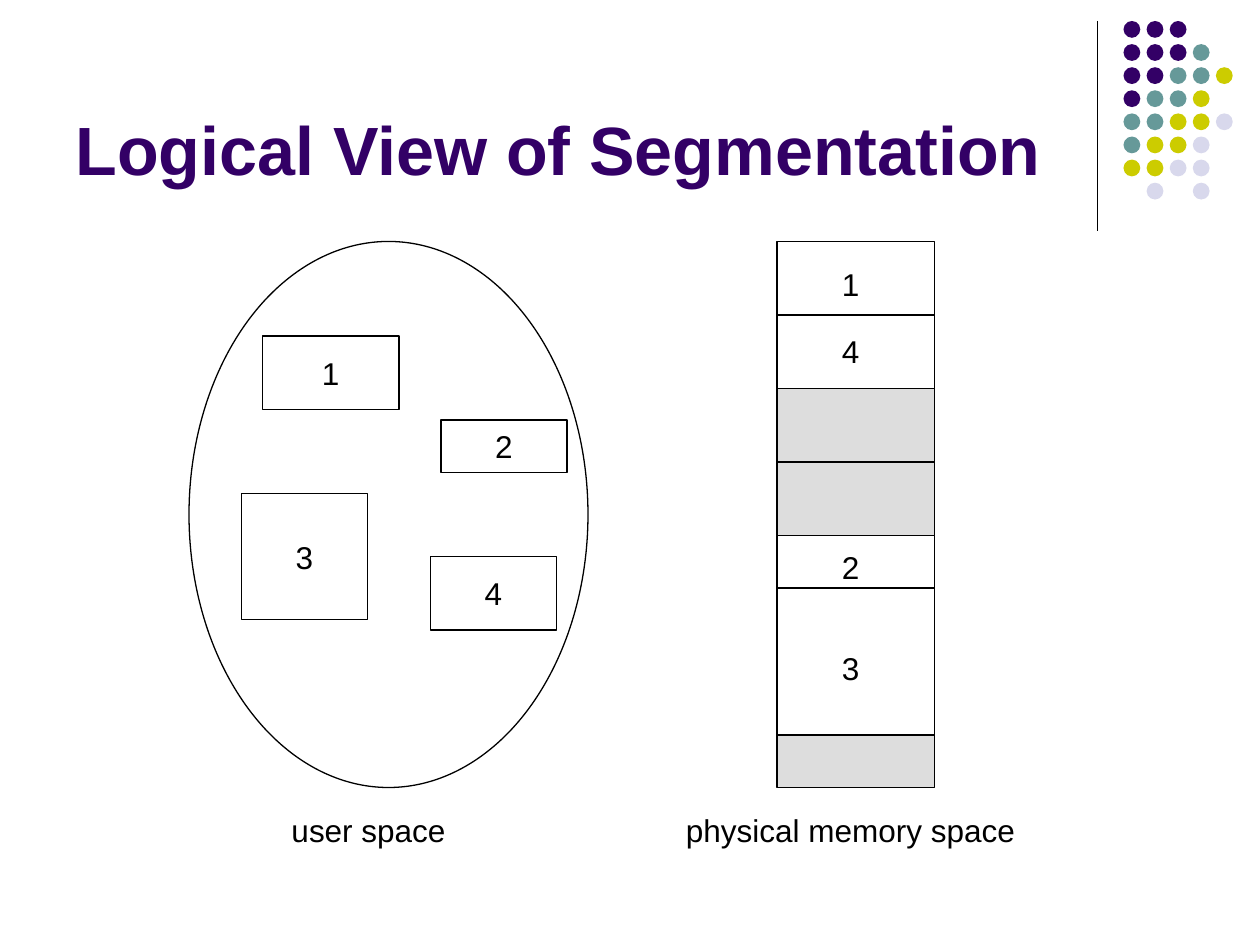
from dataclasses import dataclass

from pptx import Presentation
from pptx.dml.color import RGBColor
from pptx.enum.shapes import MSO_CONNECTOR, MSO_SHAPE
from pptx.enum.text import MSO_ANCHOR, MSO_AUTO_SIZE, PP_ALIGN
from pptx.oxml.ns import qn
from pptx.util import Inches, Pt

RECT, OVAL = MSO_SHAPE.RECTANGLE, MSO_SHAPE.OVAL
STRAIGHT = MSO_CONNECTOR.STRAIGHT
MIDDLE, BOTTOM = MSO_ANCHOR.MIDDLE, MSO_ANCHOR.BOTTOM
LEFT, CENTER = PP_ALIGN.LEFT, PP_ALIGN.CENTER
NO_FIT = MSO_AUTO_SIZE.NONE


@dataclass(frozen=True)
class Theme:
    font: str = "Arial"
    title_size: int = 39
    text_size: int = 18
    line_width: float = 0.75
    ink: str = "000000"
    title: str = "330066"
    paper: str = "FFFFFF"
    free: str = "DDDDDD"


THEME = Theme()
COLS, ROWS = 120, 90
CELL = Inches(10) // COLS

DOT_COLORS = {"P": "330066", "T": "669999", "Y": "CCCC00", "L": "D8D8EC"}
DOT_ROWS = ["PPP", "PPPT", "PPTTY", "PTTY", "TTYYL", "TYYL", "YYLL", " L L"]
DOT_LEFT, DOT_TOP, DOT_PITCH, DOT_SIZE = 107, 2, 2.2, 1.6

# name, column, row, columns wide, rows high
SEGMENTS = [
    ("1", 25, 32, 13, 7),
    ("3", 23, 47, 12, 12),
    ("2", 42, 40, 12, 5),
    ("4", 41, 53, 12, 7),
]
MEMORY_LEFT, MEMORY_WIDTH = 74, 15
# row, rows high, fill, row of the dividing line
MEMORY_BLOCKS = [
    (23, 14, THEME.paper, 30),
    (37, 14, THEME.free, 44),
    (51, 19, THEME.paper, 56),
    (70, 5, THEME.free, None),
]
# text and its middle row
MEMORY_LABELS = [("1", 27), ("4", 33.4), ("2", 54), ("3", 63.6)]
LABEL_CENTER = 81


def grid(*cells):
    return [round(c * CELL) for c in cells]


def style_text(tf, text, size, color, bold=False, align=CENTER, anchor=MIDDLE, wrap=False):
    for name, value in dict(word_wrap=wrap, auto_size=NO_FIT, vertical_anchor=anchor).items():
        setattr(tf, name, value)
    p = tf.paragraphs[0]
    p.alignment = align
    r = p.add_run()
    r.text = text
    for name, value in dict(name=THEME.font, size=Pt(size), bold=bold).items():
        setattr(r.font, name, value)
    r.font.color.rgb = RGBColor.from_string(color)


def add_block(shapes, kind, box, fill, text=None, outlined=True):
    s = shapes.add_shape(kind, *grid(*box))
    s.shadow.inherit = False
    s.fill.solid()
    s.fill.fore_color.rgb = RGBColor.from_string(fill)
    if outlined:
        s.line.color.rgb = RGBColor.from_string(THEME.ink)
        s.line.width = Pt(THEME.line_width)
    else:
        s.line.fill.background()
    if text:
        style_text(s.text_frame, text, THEME.text_size, THEME.ink)


def add_line(shapes, *ends):
    s = shapes.add_connector(STRAIGHT, *grid(*ends))
    s.line.color.rgb = RGBColor.from_string(THEME.ink)
    s.line.width = Pt(THEME.line_width)
    sp_pr = s._element.spPr
    sp_pr.append(sp_pr.makeelement(qn("a:effectLst"), {}))


def add_label(shapes, text, center, middle, width=4, height=4.8):
    """Add a text box placed by its centre."""
    s = shapes.add_textbox(*grid(center - width / 2, middle - height / 2, width, height))
    style_text(s.text_frame, text, THEME.text_size, THEME.ink)


def add_title(slide, text):
    s = slide.shapes.title
    s.left, s.top, s.width, s.height = grid(6, 1.6, 99, 17)
    style_text(s.text_frame, text, THEME.title_size, THEME.title,
               bold=True, align=LEFT, anchor=BOTTOM, wrap=True)


def add_corner_dots(slide):
    add_line(slide.shapes, 104.5, 2, 104.5, 22)
    dots = slide.shapes.add_group_shape().shapes
    for row, keys in enumerate(DOT_ROWS):
        for col, key in enumerate(keys):
            if key in DOT_COLORS:
                box = (DOT_LEFT + col * DOT_PITCH, DOT_TOP + row * DOT_PITCH, DOT_SIZE, DOT_SIZE)
                add_block(dots, OVAL, box, DOT_COLORS[key], outlined=False)


def add_user_space(slide):
    add_block(slide.shapes, OVAL, (18, 23, 38, 52), THEME.paper)
    for name, *box in SEGMENTS:
        add_block(slide.shapes, RECT, box, THEME.paper, name)
    add_label(slide.shapes, "user space", 35.1, 79, width=18)


def add_physical_memory(slide):
    memory = slide.shapes.add_group_shape().shapes
    for top, height, fill, divider in MEMORY_BLOCKS:
        add_block(memory, RECT, (MEMORY_LEFT, top, MEMORY_WIDTH, height), fill)
        if divider:
            add_line(memory, MEMORY_LEFT, divider, MEMORY_LEFT + MEMORY_WIDTH, divider)
    for text, middle in MEMORY_LABELS:
        add_label(memory, text, LABEL_CENTER, middle)
    add_label(slide.shapes, "physical memory space", LABEL_CENTER, 79, width=33.7)


def main():
    prs = Presentation()
    prs.slide_width, prs.slide_height = COLS * CELL, ROWS * CELL
    slide = prs.slides.add_slide(prs.slide_layouts[5])
    add_corner_dots(slide)
    add_title(slide, "Logical View of Segmentation")
    add_user_space(slide)
    add_physical_memory(slide)
    prs.save("out.pptx")


if __name__ == "__main__":
    main()
